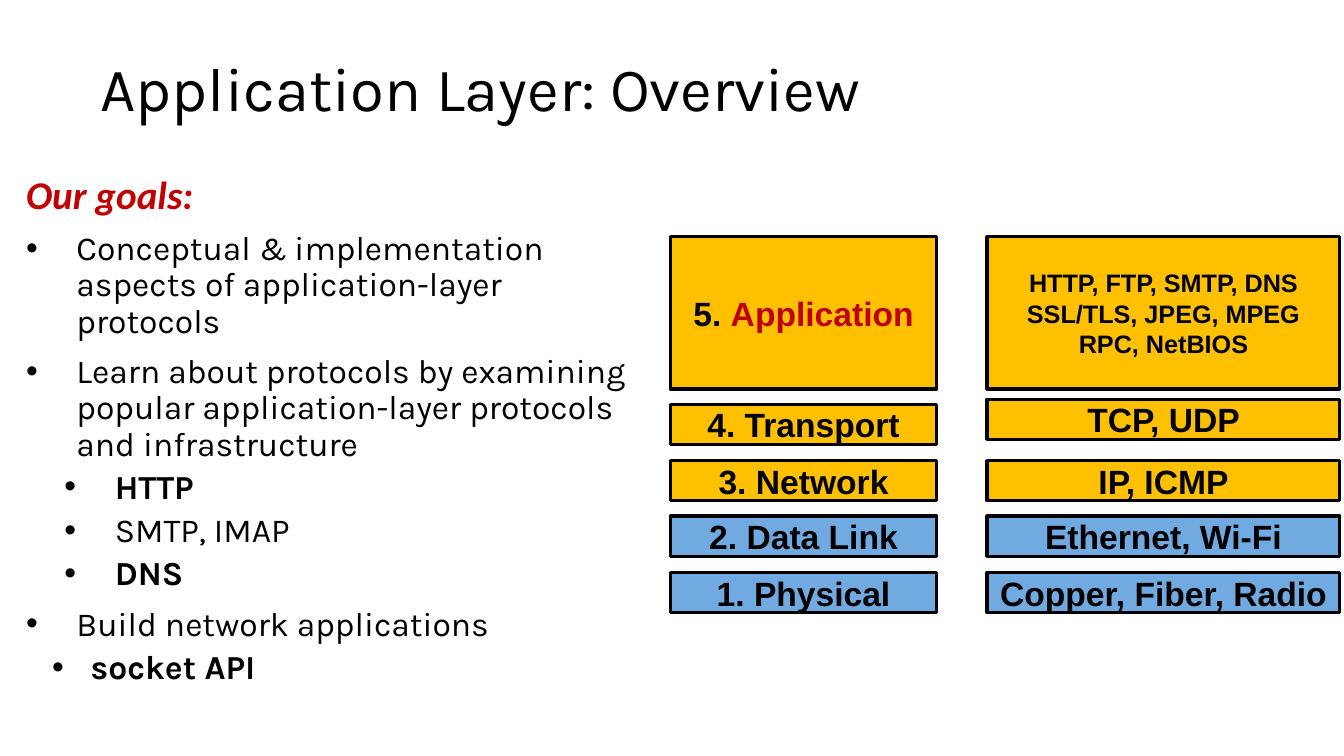
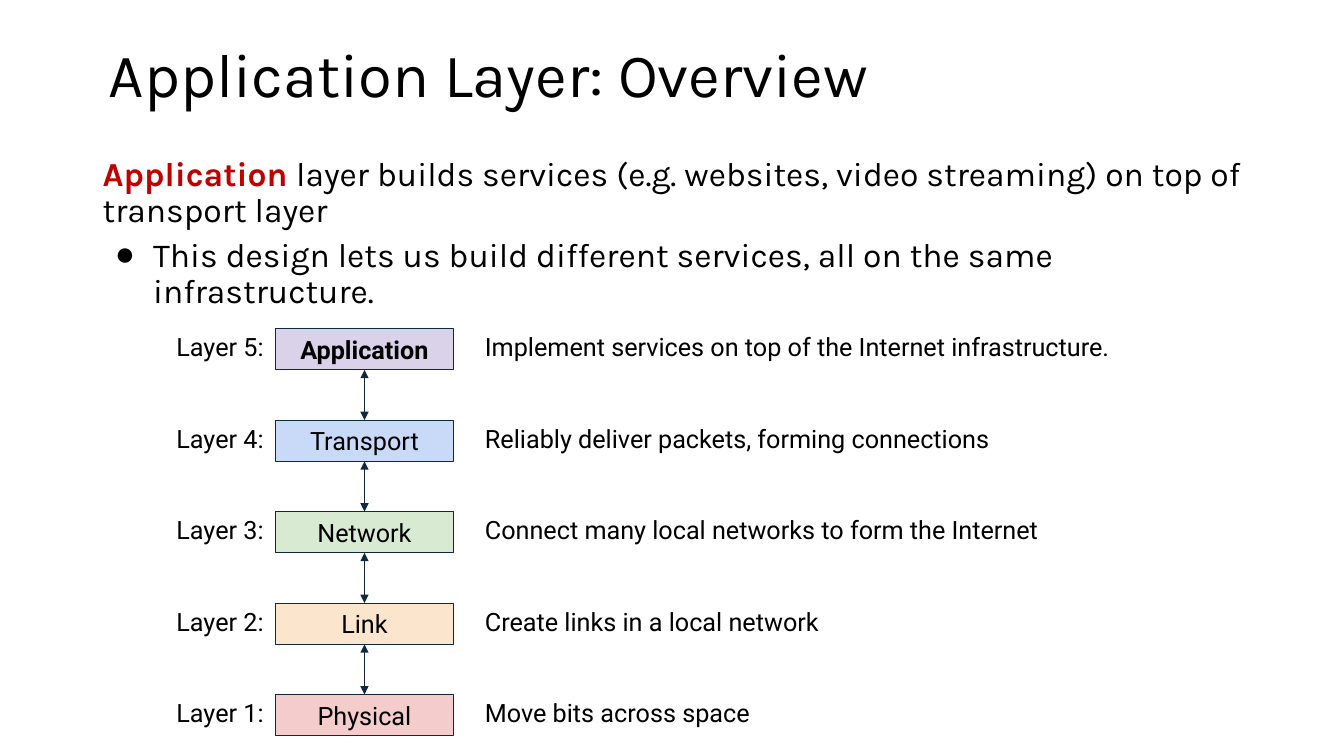
from itertools import pairwise

from lxml import etree
from pptx import Presentation
from pptx.dml.color import RGBColor
from pptx.enum.shapes import MSO_CONNECTOR as Link, MSO_SHAPE as Shape
from pptx.enum.text import MSO_ANCHOR as Anchor, PP_ALIGN as Align
from pptx.oxml.ns import qn
from pptx.util import Emu, Pt

PX = 9144  # 100 px to the inch
BLACK, RED, NAVY = "000000", "C00000", "0E2841"
GOLD, BLUE = "FFC000", "71AAE0"
TITLE = "Application Layer: Overview"

# Paragraph styles: level, left margin, first-line indent, space before, bullet
HEAD = (0, 12, 0, 0, None)
GOAL = (0, 62, -50, 10, "•")
SUB = (1, 100, -50, 5, "•")
NEAR = (1, 76, -38, 5, "•")
LEAD = (0, 0, 0, 0, None)
POINT = (0, 50, -38, 6, "●")

# Runs: text, then what differs from the default of the box
GOALS = [
    (HEAD, [("Our goals:", dict(size=28, font="Calibri", color=RED, bold=True, italic=True))]),
    (GOAL, [("Conceptual ", {}), ("&", dict(italic=True)),
            (" implementation aspects of application-layer protocols", {})]),
    (GOAL, [("Learn about protocols by examining popular application-layer "
             "protocols and infrastructure", {})]),
    (SUB, [("HTTP", dict(bold=True))]),
    (SUB, [("SMTP, IMAP", {})]),
    (SUB, [("DNS", dict(bold=True))]),
    (GOAL, [("Build network applications", {})]),
    (NEAR, [("socket API", dict(bold=True))]),
]
INTRO = [
    (LEAD, [("Application ", dict(color=RED, bold=True)),
            ("layer builds services (e.g. websites, video streaming) on top of transport layer", {})]),
    (POINT, [("This design lets us build different services, all on the same infrastructure.", {})]),
]

# Top of left box, top of right box, height, fill, layer runs, protocol lines, protocol size
STACK = [
    (235, 235, 151, GOLD, [("5. ", {}), ("Application", dict(color=RED))],
     ["HTTP, FTP, SMTP, DNS", "SSL/TLS, JPEG, MPEG", "RPC, NetBIOS"], 18),
    (401, 396, 40, GOLD, [("4. Transport", {})], ["TCP, UDP"], 24),
    (457, 457, 40, GOLD, [("3. Network", {})], ["IP, ICMP"], 24),
    (512, 512, 40, BLUE, [("2. Data Link", {})], ["Ethernet, Wi-Fi"], 24),
    (568, 568, 40, BLUE, [("1. Physical", {})], ["Copper, Fiber, Radio"], 24),
]
LAYERS = [
    ("Application", "D9D2E9", "Implement services on top of the Internet infrastructure."),
    ("Transport", "C9DAF8", "Reliably deliver packets, forming connections"),
    ("Network", "D9EAD3", "Connect many local networks to form the Internet"),
    ("Link", "FCE5CD", "Create links in a local network"),
    ("Physical", "F4CCCC", "Move bits across space"),
]


def px(*sizes):
    return [Emu(round(size * PX)) for size in sizes]


def rgb(code):
    return RGBColor.from_string(code)


def add_runs(para, runs, size, font, color=BLACK, bold=False, italic=False):
    base = dict(size=size, font=font, color=color, bold=bold, italic=italic)
    for text, change in runs:
        look = base | change
        run = para.add_run()
        run.text = text
        run.font.size, run.font.name = Pt(look["size"]), look["font"]
        run.font.bold, run.font.italic = look["bold"], look["italic"]
        run.font.color.rgb = rgb(look["color"])


def set_frame(frame, inset, anchor, wrap):
    frame.margin_left, frame.margin_top = frame.margin_right, frame.margin_bottom = px(*inset)
    frame.vertical_anchor, frame.word_wrap = anchor, wrap


def paras(frame, count):
    return [frame.paragraphs[0]] + [frame.add_paragraph() for _ in range(count - 1)]


def add_text(slide, at, items, size, font, inset=(10, 5), anchor=Anchor.TOP, lines=0.9):
    frame = slide.shapes.add_textbox(*px(*at)).text_frame
    set_frame(frame, inset, anchor, True)
    for para, (style, runs) in zip(paras(frame, len(items)), items):
        level, left, indent, before, bullet = style
        para.level, para.line_spacing, para.space_before = level, lines, Pt(before)
        props = para._p.get_or_add_pPr()
        props.set("marL", str(left * PX))
        props.set("indent", str(indent * PX))
        if bullet:
            etree.SubElement(props, qn("a:buFont")).set("typeface", "Arial")
            etree.SubElement(props, qn("a:buChar")).set("char", bullet)
        add_runs(para, runs, size, font)


def add_box(slide, at, fill, line, width, rows, size, font, bold, inset, wrap):
    box = slide.shapes.add_shape(Shape.RECTANGLE, *px(*at))
    box.shadow.inherit = False
    box.fill.solid()
    box.fill.fore_color.rgb = rgb(fill)
    box.line.color.rgb = rgb(line)
    box.line.width = Pt(width)
    set_frame(box.text_frame, inset, Anchor.MIDDLE, wrap)
    for para, runs in zip(paras(box.text_frame, len(rows)), rows):
        para.alignment = Align.CENTER
        add_runs(para, runs, size, font, bold=bold)
    return box


def add_arrow(slide, upper, lower):
    """Join two boxes with a line that has a head at each end."""
    arrow = slide.shapes.add_connector(Link.STRAIGHT, 0, 0, 0, 0)
    arrow.begin_connect(upper, 2)
    arrow.end_connect(lower, 0)
    arrow.line.color.rgb = rgb(NAVY)
    arrow.line.width = Pt(0.75)
    line = arrow.line._get_or_add_ln()
    for end in ("a:headEnd", "a:tailEnd"):
        etree.SubElement(line, qn(end)).set("type", "triangle")
    etree.SubElement(arrow._element.spPr, qn("a:effectLst"))


def add_slide(deck, at):
    slide = deck.slides.add_slide(deck.slide_layouts[6])
    add_text(slide, at, [(LEAD, [(TITLE, {})])], 44, "Karla", anchor=Anchor.MIDDLE)
    return slide


def draw_goals(deck):
    slide = add_slide(deck, (90, 34, 1150, 114))
    add_text(slide, (4, 169, 647, 533), GOALS, 24, "Karla")
    for left_top, right_top, high, fill, layer, protos, size in STACK:
        names = [[(text, {})] for text in protos]
        for at, rows, points in (((665, left_top, 264, high), [layer], 24),
                                 ((979, right_top, 350, high), names, size)):
            add_box(slide, at, fill, BLACK, 2.25, rows, points, "Arial", True, (10, 5), False)


def draw_layers(deck):
    slide = add_slide(deck, (98, 4, 1150, 145))
    add_text(slide, (92, 151, 1150, 145), INTRO, 24, "Karla")
    top, step, high = 326, 90.75, 41
    boxes = []
    for i, (name, fill, job) in enumerate(LAYERS):
        y = top + i * step
        look = dict(bold=True) if i == 0 else {}
        boxes.append(add_box(slide, (273, y, 177, high), fill, NAVY, 0.75, [[(name, look)]],
                             18, "Roboto", False, (10, 10), True))
        for left, wide, text in ((172, 100, f"Layer {len(LAYERS) - i}:"), (478, 683, job)):
            add_text(slide, (left, y, wide, high), [(LEAD, [(text, {})])],
                     18, "Roboto", inset=(3, 3), lines=1.0)
    for upper, lower in pairwise(boxes):
        add_arrow(slide, upper, lower)


def main():
    deck = Presentation()
    deck.slide_width, deck.slide_height = px(1333, 750)
    draw_goals(deck)
    draw_layers(deck)
    deck.save("out.pptx")


if __name__ == "__main__":
    main()
